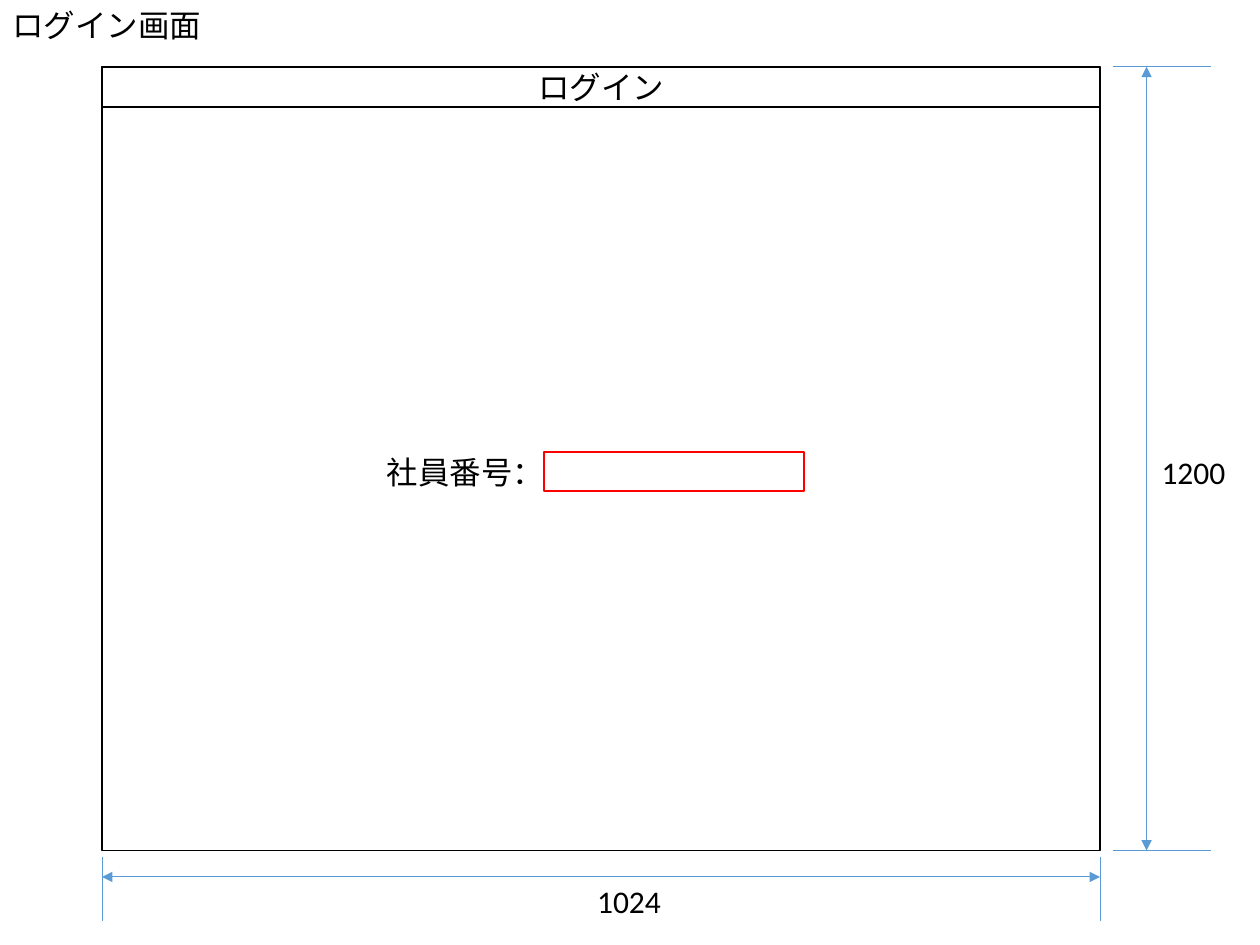
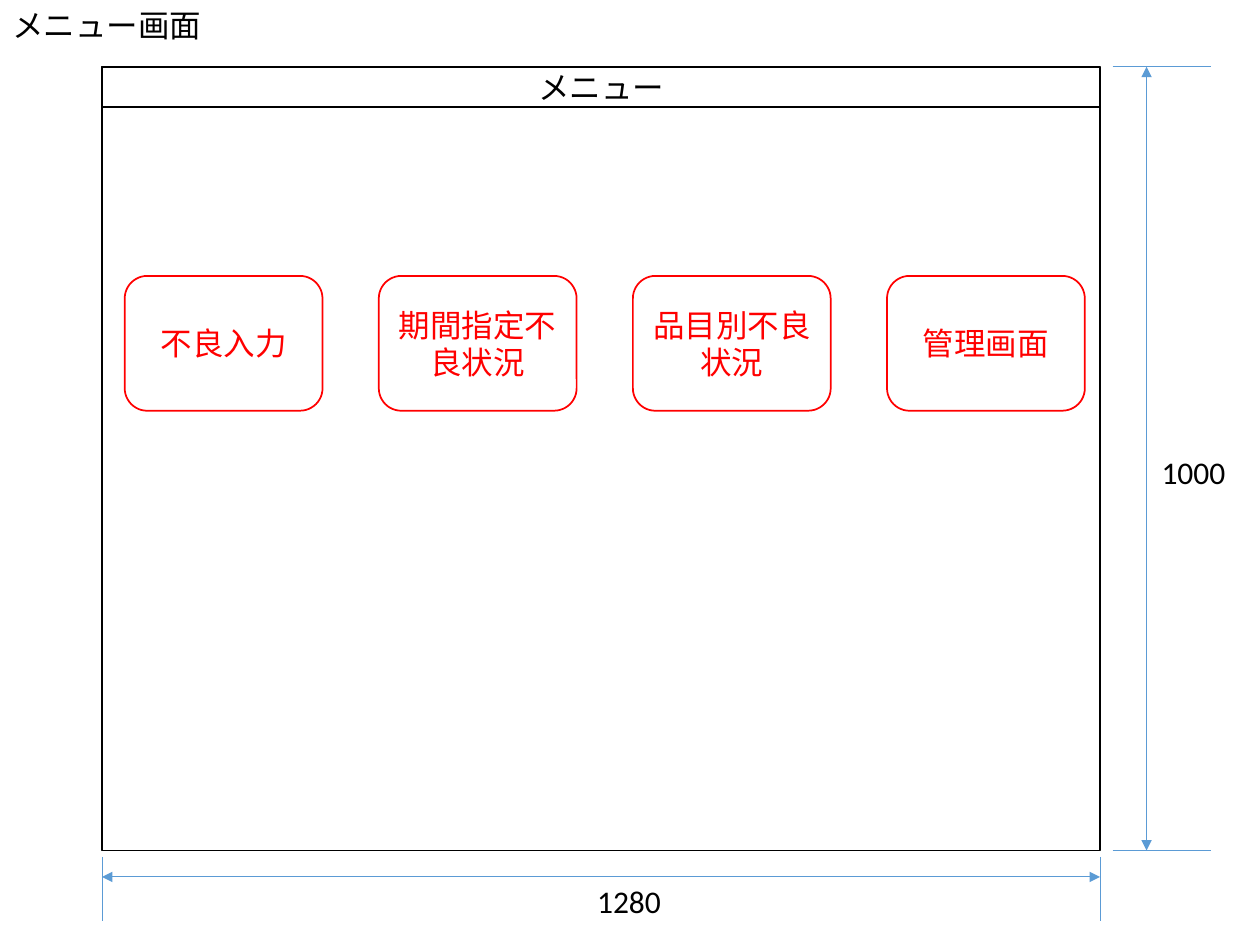
from lxml import etree
from pptx import Presentation
from pptx.dml.color import RGBColor
from pptx.enum.shapes import MSO_CONNECTOR, MSO_SHAPE
from pptx.enum.text import MSO_ANCHOR, MSO_AUTO_SIZE, PP_ALIGN
from pptx.oxml.ns import qn
from pptx.util import Inches, Pt

RECT = MSO_SHAPE.RECTANGLE
ROUND = MSO_SHAPE.ROUNDED_RECTANGLE
STRAIGHT = MSO_CONNECTOR.STRAIGHT
MIDDLE = MSO_ANCHOR.MIDDLE
GROW = MSO_AUTO_SIZE.SHAPE_TO_FIT_TEXT
CENTER = PP_ALIGN.CENTER

BLACK, RED, BLUE = "000000", "FF0000", "5B9BD5"
FONT = {"name": "Calibri", "size": Pt(18)}
LEFT, TOP, WIDTH, HEIGHT = 0.81, 0.53, 7.92, 6.22
RIGHT, BASE = LEFT + WIDTH, TOP + HEIGHT


def color(code):
    return RGBColor.from_string(code)


def apply(target, values):
    for name, value in values.items():
        setattr(target, name, value)


class Sketch:
    def __init__(self, deck):
        self.deck = deck
        self.slide = None

    def start(self):
        self.slide = self.deck.slides.add_slide(self.deck.slide_layouts[6])

    def words(self, frame, text, tone, align=None):
        part = frame.paragraphs[0]
        part.alignment = align
        run = part.add_run()
        run.text = text
        apply(run.font, FONT)
        run.font.color.rgb = color(tone)

    def label(self, text, left, top, width):
        box = self.slide.shapes.add_textbox(
            Inches(left), Inches(top), Inches(width), Inches(0.4))
        apply(box.text_frame, {"word_wrap": False, "auto_size": GROW})
        self.words(box.text_frame, text, BLACK)

    def box(self, left, top, width, height, tone, text="", kind=RECT):
        shape = self.slide.shapes.add_shape(
            kind, Inches(left), Inches(top), Inches(width), Inches(height))
        shape.shadow.inherit = False
        shape.fill.background()
        shape.line.color.rgb = color(tone)
        shape.line.width = Pt(1)
        if text:
            apply(shape.text_frame, {"word_wrap": True, "vertical_anchor": MIDDLE})
            self.words(shape.text_frame, text, tone, CENTER)

    def line(self, x1, y1, x2, y2, arrows=False):
        link = self.slide.shapes.add_connector(
            STRAIGHT, Inches(x1), Inches(y1), Inches(x2), Inches(y2))
        link.line.color.rgb = color(BLUE)
        link.line.width = Pt(0.5)
        props = link._element.spPr
        etree.SubElement(props, qn("a:effectLst"))
        if arrows:
            for end in ("a:headEnd", "a:tailEnd"):
                etree.SubElement(props.find(qn("a:ln")), qn(end), type="triangle")

    def window(self, name, title, wide, high):
        self.start()
        self.label(name, 0, 0, 1.72)
        self.box(LEFT, TOP, WIDTH, HEIGHT, BLACK)
        self.box(LEFT, TOP, WIDTH, 0.32, BLACK, title)
        for y in (TOP, BASE):
            self.line(RIGHT + 0.1, y, 9.61, y)
        self.line(9.1, TOP, 9.1, BASE, True)
        for x in (LEFT, RIGHT):
            self.line(x, BASE + 0.05, x, 7.31)
        self.line(LEFT, 6.96, RIGHT, 6.96, True)
        self.label(high, 9.12, 3.55, 0.71)
        self.label(wide, 4.64, 6.95, 0.71)


def login(sketch):
    sketch.window("ログイン画面", "ログイン", "1024", "1200")
    sketch.label("社員番号：", 2.97, 3.55, 1.46)
    sketch.box(4.32, 3.59, 2.06, 0.31, RED)


def menu(sketch):
    sketch.window("メニュー画面", "メニュー", "1280", "1000")
    names = ("不良入力", "期間指定不良状況", "品目別不良状況", "管理画面")
    step = (7.04 - 0.99) / (len(names) - 1)
    for i, name in enumerate(names):
        sketch.box(0.99 + i * step, 2.19, 1.57, 1.07, RED, name, ROUND)


def main():
    deck = Presentation()
    apply(deck, {"slide_width": Inches(10), "slide_height": Inches(7.5)})
    sketch = Sketch(deck)
    login(sketch)
    menu(sketch)
    deck.save("out.pptx")


if __name__ == "__main__":
    main()
